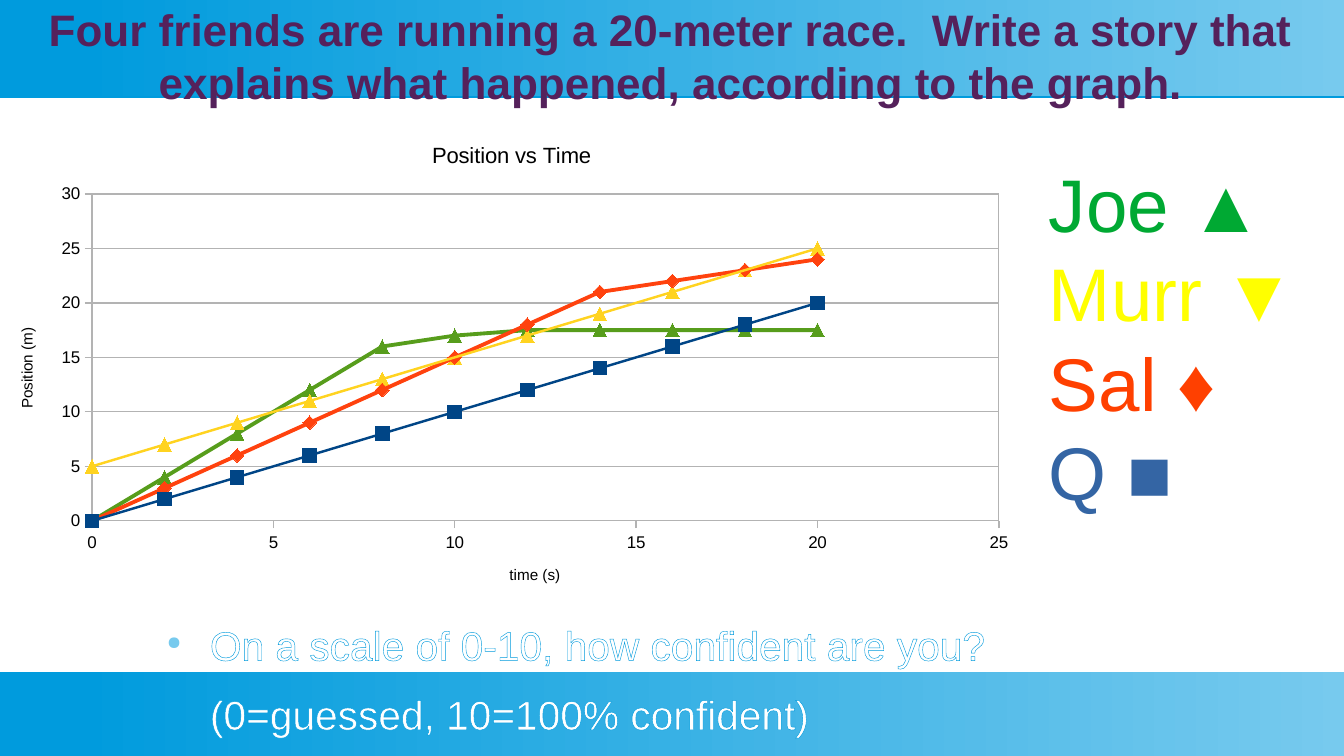
import pptx
import pptx.chart.data
import pptx.dml.color
import pptx.enum.chart
import pptx.enum.shapes
import pptx.enum.text
import pptx.oxml
import pptx.util

PX = 914400 / 122
W, H = 1344, 756
NS = ('xmlns:a="http://schemas.openxmlformats.org/drawingml/2006/main" '
      'xmlns:c="http://schemas.openxmlformats.org/drawingml/2006/chart"')
MARKER = pptx.enum.chart.XL_MARKER_STYLE
TIMES = range(0, 21, 2)
# (colour, marker, has a straight trend line, positions)
RUNNERS = [
    ("004586", MARKER.SQUARE, True, TIMES),
    ("FF420E", MARKER.DIAMOND, False, [0, 3, 6, 9, 12, 15, 18, 21, 22, 23, 24]),
    ("FFD320", MARKER.TRIANGLE, True, range(5, 26, 2)),
    ("579D1C", MARKER.TRIANGLE, False, [0, 4, 8, 12, 16, 17] + [17.5] * 5),
]
NAMES = [("Joe ▲", "00A933"), ("Murr ▼", "FFFF00"),
         ("Sal ♦", "FF4000"), ("Q ■", "3465A4")]


def emu(n):
    return pptx.util.Emu(round(n * PX))


def color(value):
    return pptx.dml.color.RGBColor.from_string(value)


def xml(tag, body, attrs=""):
    return pptx.oxml.parse_xml(f"<{tag} {NS} {attrs}>{body}</{tag}>")


def line_xml(value, points):
    return (f'<a:ln w="{round(points * 12700)}"><a:solidFill>'
            f'<a:srgbClr val="{value}"/></a:solidFill></a:ln>')


class Builder:
    font = "Arial"
    blue, pale, grid = "009BDD", "77CAEE", "B3B3B3"

    def __init__(self, prs):
        self.s = prs.slides.add_slide(prs.slide_layouts[6])

    def style(self, font, size, value, bold=False):
        font.name, font.size, font.bold = self.font, pptx.util.Pt(size), bold
        font.color.rgb = color(value)

    def band(self, y, h):
        sp = self.s.shapes.add_shape(pptx.enum.shapes.MSO_SHAPE.RECTANGLE,
                                     0, emu(y), emu(W), emu(h))
        sp.line.fill.background()
        sp.fill.gradient()
        sp.fill.gradient_angle = 0
        for stop, value, at in zip(sp.fill.gradient_stops,
                                   (self.blue, self.pale), (0.06, 1)):
            stop.color.rgb, stop.position = color(value), at
        sp.shadow.inherit = False
        sp._element.spPr.find(pptx.oxml.ns.qn("a:effectLst")).append(
            xml("a:outerShdw", f'<a:srgbClr val="{self.blue}"/>',
                'blurRad="0" dist="11430" dir="5400000" rotWithShape="0"'))

    def text(self, x, y, w, h, lines, size, bold=False, centre=False,
             inset=(0, 0), gap=0):
        """Add a text box; lines holds (text, colour) pairs, one a paragraph."""
        tf = self.s.shapes.add_textbox(emu(x), emu(y), emu(w), emu(h)).text_frame
        tf.word_wrap = True
        tf.margin_left = tf.margin_right = emu(inset[0])
        tf.margin_top = tf.margin_bottom = emu(inset[1])
        for i, (words, value) in enumerate(lines):
            p = tf.add_paragraph() if i else tf.paragraphs[0]
            p.add_run().text = words
            self.style(p.font, size, value, bold)
            if i:
                p.space_before = pptx.util.Pt(gap)
            if centre:
                p.alignment = pptx.enum.text.PP_ALIGN.CENTER
        if centre:
            tf.vertical_anchor = pptx.enum.text.MSO_ANCHOR.MIDDLE
        return tf

    def outline(self, tf):
        for p in tf.paragraphs:
            for r in p.runs:
                r._r.get_or_add_rPr().insert(0, pptx.oxml.parse_xml(
                    line_xml(self.blue, 0.75).replace("<a:ln", f"<a:ln {NS}", 1)))

    def indent(self, p, left, hang, bullet=False):
        pPr = p._p.get_or_add_pPr()
        pPr.set("marL", str(emu(left)))
        pPr.set("indent", str(emu(-hang)))
        marks = [xml("a:buNone", "")]
        if bullet:
            marks = [xml("a:buClr", f'<a:srgbClr val="{self.pale}"/>'),
                     xml("a:buSzPct", "", 'val="45000"'),
                     xml("a:buChar", "", 'char="●"')]
        for mark in marks:
            pPr.find(pptx.oxml.ns.qn("a:defRPr")).addprevious(mark)

    def caption(self, owner, words, size):
        """Give a chart or an axis its title."""
        p = (owner.chart_title if hasattr(owner, "chart_title")
             else owner.axis_title).text_frame.paragraphs[0]
        r = p.add_run()
        r.text = words
        self.style(r.font, size, "000000")

    def axis(self, axis, words, top):
        axis.minimum_scale, axis.maximum_scale, axis.major_unit = 0, top, 5
        axis.major_tick_mark = pptx.enum.chart.XL_TICK_MARK.OUTSIDE
        axis.minor_tick_mark = pptx.enum.chart.XL_TICK_MARK.NONE
        axis.tick_labels.number_format = "General"
        axis.tick_labels.number_format_is_linked = False
        self.style(axis.tick_labels.font, 10, "000000")
        lines = [axis.format.line]
        if axis.has_major_gridlines:
            lines.append(axis.major_gridlines.format.line)
        for line in lines:
            line.color.rgb, line.width = color(self.grid), 0
        self.caption(axis, words, 9)

    def series(self, series, value, marker, trend):
        series.smooth = False
        series.marker.style, series.marker.size = marker, 8
        for part in (series.marker.format.fill, series.marker.format.line.fill):
            part.solid()
            part.fore_color.rgb = color(value)
        if trend:
            series.format.line.fill.background()
            series._element.find(pptx.oxml.ns.qn("c:xVal")).addprevious(xml(
                "c:trendline",
                f'<c:spPr>{line_xml(value, 1.45)}</c:spPr>'
                '<c:trendlineType val="linear"/>'
                '<c:dispRSqr val="0"/><c:dispEq val="0"/>'))
        else:
            series.format.line.color.rgb = color(value)
            series.format.line.width = pptx.util.Pt(2.27)

    def race_chart(self, x, y, w, h, plot):
        """Add the scatter chart; plot is the slide rectangle inside its axes."""
        data = pptx.chart.data.XyChartData()
        for n, runner in enumerate(RUNNERS, 1):
            points = data.add_series(f"Series {n}")
            for t, position in zip(TIMES, runner[3]):
                points.add_data_point(t, position)
        chart = self.s.shapes.add_chart(
            pptx.enum.chart.XL_CHART_TYPE.XY_SCATTER_LINES,
            emu(x), emu(y), emu(w), emu(h), data).chart
        chart.has_legend = False
        self.style(chart.font, 10, "000000")
        chart.plots[0].vary_by_categories = False
        self.caption(chart, "Position vs Time", 13)
        chart.category_axis.has_major_gridlines = False
        self.axis(chart.category_axis, "time (s)", 25)
        self.axis(chart.value_axis, "Position (m)", 30)
        for series, (value, marker, trend, _) in zip(chart.plots[0].series, RUNNERS):
            self.series(series, value, marker, trend)

        px, py, pw, ph = plot
        shares = zip("xywh", ((px - x) / w, (py - y) / h, pw / w, ph / h))
        area = chart._chartSpace.chart.plotArea
        for old in area.findall(pptx.oxml.ns.qn("c:layout")):
            area.remove(old)
        area.insert(0, xml(
            "c:layout",
            '<c:manualLayout><c:layoutTarget val="inner"/>'
            '<c:xMode val="edge"/><c:yMode val="edge"/>'
            + "".join(f'<c:{k} val="{v:.4f}"/>' for k, v in shares)
            + "</c:manualLayout>"))
        area.append(xml("c:spPr", "<a:noFill/>" + line_xml(self.grid, 0)))
        chart._chartSpace.chart.addnext(
            xml("c:spPr", "<a:noFill/><a:ln><a:noFill/></a:ln>"))


def main():
    prs = pptx.Presentation()
    prs.slide_width, prs.slide_height = emu(W), emu(H)
    b = Builder(prs)
    b.band(0, 96)
    b.band(672, 84)
    b.text(48, 6, 1246, 99,
           [("Four friends are running a 20-meter race.  Write a story that "
             "explains what happened, according to the graph.", "55215B")],
           26, bold=True, centre=True)
    tf = b.text(153, 620, 1127, 136,
                [("On a scale of 0-10, how confident are you?", "FFFFFF"),
                 ("(0=guessed, 10=100% confident)", "FFFFFF")], 24, gap=12)
    b.outline(tf)
    question, scale = tf.paragraphs
    b.indent(question, 57, 43, bullet=True)
    b.indent(scale, 57, 0)
    b.text(1037, 152, 307, 429, NAMES, 44, inset=(12, 6))
    b.race_chart(-7, 122, 1037, 488, plot=(92, 194, 907, 327))
    prs.save("out.pptx")


if __name__ == "__main__":
    main()
